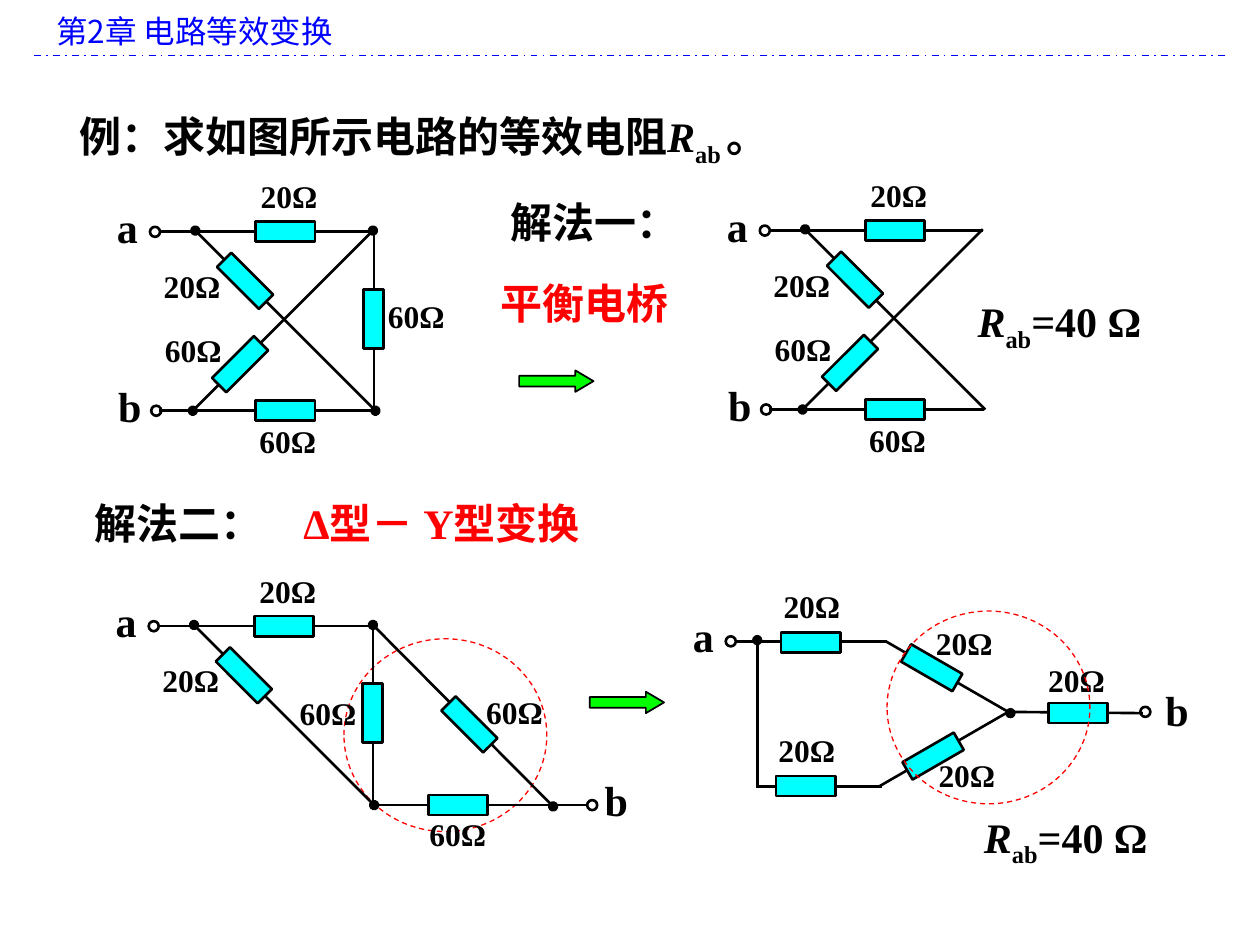
"""Build the slide on equivalent resistance of a bridge circuit."""
from dataclasses import dataclass

from lxml import etree
from pptx import Presentation
from pptx import util as u
from pptx.dml.color import RGBColor
from pptx.enum import dml, shapes, text
from pptx.oxml.ns import qn

CELL = u.Inches(0.01)
COLS, ROWS = 1000, 750
BLACK = RGBColor(0, 0, 0)
RED = RGBColor(255, 0, 0)
BLUE = RGBColor(0, 0, 255)
CYAN = RGBColor(0, 255, 255)
GREEN = RGBColor(0, 255, 0)
SERIF, SANS = "Times New Roman", "Noto Sans CJK SC"
HEAD, TAIL = ("headEnd",), ("tailEnd",)
BOTH = HEAD + TAIL
KIND = shapes.MSO_SHAPE
DASH = dml.MSO_LINE


@dataclass(frozen=True)
class Wire:
    """A line between two grid points, with dots at the named ends."""
    x: int
    y: int
    x2: int
    y2: int
    dots: tuple = ()


@dataclass(frozen=True)
class Bar:
    """A resistor."""
    x: int
    y: int
    turn: int = 0


@dataclass(frozen=True)
class Pin:
    """An open terminal and the place of its letter."""
    x: int
    y: int
    name: str
    left: int
    top: int


@dataclass(frozen=True)
class Tag:
    """A resistance value."""
    x: int
    y: int
    ohms: int


def put_line(pen, wire: Wire, color=BLACK, width=1.5, dash=None) -> None:
    """Draw a straight line."""
    ends = [n * CELL for n in (wire.x, wire.y, wire.x2, wire.y2)]
    line = pen.add_connector(shapes.MSO_CONNECTOR.STRAIGHT, *ends)
    line.line.color.rgb = color
    line.line.width = u.Pt(width)
    if dash:
        line.line.dash_style = dash
    for end in wire.dots:
        etree.SubElement(line.line._get_or_add_ln(), qn(f"a:{end}"), type="oval")
    etree.SubElement(line._element.spPr, qn("a:effectLst"))


def put_shape(pen, kind, box: tuple, fill=None, line=BLACK, width=1.5):
    """Draw a preset shape."""
    shape = pen.add_shape(kind, *[n * CELL for n in box])
    shape.shadow.inherit = False
    if fill is None:
        shape.fill.background()
    else:
        shape.fill.solid()
        shape.fill.fore_color.rgb = fill
    shape.line.color.rgb = line
    shape.line.width = u.Pt(width)
    return shape


def put_text(pen, box: tuple, *runs: str, size=24, color=BLACK, face=SERIF,
             bold=True, align=None) -> None:
    """Write one paragraph; "R" is italic and "ab" is a subscript."""
    frame = pen.add_textbox(*[n * CELL for n in box]).text_frame
    frame.word_wrap = True
    frame.auto_size = text.MSO_AUTO_SIZE.SHAPE_TO_FIT_TEXT
    para = frame.paragraphs[0]
    para.alignment = align
    font = para.font
    font.size, font.bold, font.name = u.Pt(size), bold, face
    font.color.rgb = color
    base = para._p.find(".//" + qn("a:defRPr"))
    etree.SubElement(base, qn("a:ea"), typeface=SANS)
    for words in runs:
        run = para.add_run()
        run.text = words
        if words == "R":
            run.font.italic = True
        elif words.strip() == "ab":
            run._r.get_or_add_rPr().set("baseline", "-25000")


def put_ring(pen, x: int, y: int) -> None:
    """Draw a dashed ring round the part that is transformed."""
    ring = put_shape(pen, KIND.OVAL, (x, y, 161, 153), line=RED, width=0.75)
    ring.line.dash_style = DASH.DASH


def put_arrow(pen, x: int, y: int) -> None:
    """Draw a green block arrow."""
    arrow = put_shape(pen, KIND.RIGHT_ARROW, (x, y, 59, 17), GREEN, width=1)
    arrow.adjustments[0], arrow.adjustments[1] = 0.5, 0.845


def put_net(pen, parts: list, dx=0, dy=0) -> None:
    """Draw a circuit as one group, shifted on the grid."""
    net = pen.add_group_shape().shapes
    for part in parts:
        x, y = part.x + dx, part.y + dy
        match part:
            case Wire():
                put_line(net, Wire(x, y, part.x2 + dx, part.y2 + dy, part.dots))
            case Bar():
                bar = put_shape(net, KIND.RECTANGLE, (x, y, 47, 16), CYAN)
                bar.rotation = part.turn
            case Pin():
                put_shape(net, KIND.OVAL, (x, y, 8, 8))
                put_text(net, (part.left + dx, part.top + dy, 34, 50), part.name,
                         align=text.PP_ALIGN.CENTER)
            case Tag():
                put_text(net, (x, y, 85, 40), f"{part.ohms}Ω", size=18)


def slope(dots: tuple) -> Wire:
    """Give the diagonal that falls from terminal a."""
    return Wire(298, 326, 155, 183, dots)


def rise(dots: tuple) -> Wire:
    """Give the diagonal that climbs from terminal b."""
    return Wire(296, 183, 153, 326, dots)


TOP = [Wire(126, 184, 296, 184), Pin(119, 180, "a", 83, 155),
       Bar(203, 176), Bar(171, 215, 45), Tag(197, 136, 20), Tag(120, 207, 20)]
CROSS = TOP + [Wire(126, 326, 297, 326), Pin(120, 322, "b", 84, 297),
               Bar(203, 318), Bar(167, 281, 135), Tag(196, 330, 60), Tag(121, 258, 60)]
SIDE = [Wire(297, 183, 297, 327), Bar(273, 245, 270)]
BRIDGE = [slope(BOTH), rise(BOTH)] + CROSS + SIDE + [Tag(298, 231, 60)]
OPEN = [slope(TAIL), rise(TAIL)] + CROSS
DELTA = [slope(BOTH), Wire(440, 327, 297, 183, BOTH), Wire(298, 326, 468, 326)]
DELTA += TOP + SIDE + [
    Pin(467, 322, "b", 471, 297), Bar(350, 354 - 60, 45), Bar(341, 318),
    Tag(332, 329, 60), Tag(229, 233, 60), Tag(377, 232, 60)]
DELTA[-5] = Bar(350, 254, 45)
STAR = [
    Wire(583, 509, 704, 509), Wire(802, 566, 703, 509, HEAD),
    Wire(802, 564, 698, 624), Wire(801, 565, 907, 566),
    Wire(601, 624, 700, 624), Wire(601, 508, 601, 625, HEAD),
    Pin(576, 505, "a", 540, 480), Pin(905, 561, "b", 915, 538),
    Bar(620, 502), Bar(716, 522, 30), Bar(832, 558), Bar(717, 592, 150), Bar(616, 616),
    Tag(822, 520, 20), Tag(612, 461, 20), Tag(733, 490, 20),
    Tag(735, 595, 20), Tag(608, 575, 20)]


def main() -> None:
    """Build and save the slide."""
    deck = Presentation()
    deck.slide_width, deck.slide_height = COLS * CELL, ROWS * CELL
    pen = deck.slides.add_slide(deck.slide_layouts[6]).shapes
    put_text(pen, (35, 5, 937, 40), "第2章 电路等效变换", size=18, color=BLUE,
             face=SANS, bold=False)
    put_line(pen, Wire(27, 44, 972, 44), BLUE, 1, DASH.DASH_DOT)
    put_ring(pen, 273, 507)
    put_text(pen, (53, 83, 900, 50), "例：求如图所示电路的等效电阻", "R", "ab ", "。")
    put_net(pen, BRIDGE)
    put_net(pen, OPEN, 484, -1)
    put_arrow(pen, 412, 294)
    put_text(pen, (395, 151, 158, 50), "解法一：")
    put_text(pen, (387, 215, 218, 50), "平衡电桥", color=RED)
    put_text(pen, (65, 390, 158, 50), "解法二：")
    put_text(pen, (231, 390, 390, 50), "Δ型－ Y型变换", color=RED)
    put_net(pen, DELTA, -1, 313)
    put_arrow(pen, 468, 549)
    put_net(pen, STAR)
    for x, y in ((766, 230), (771, 639)):
        put_text(pen, (x, y, 218, 50), "R", "ab", "=40 Ω")
    put_ring(pen, 704, 485)
    deck.save("out.pptx")


if __name__ == "__main__":
    main()
